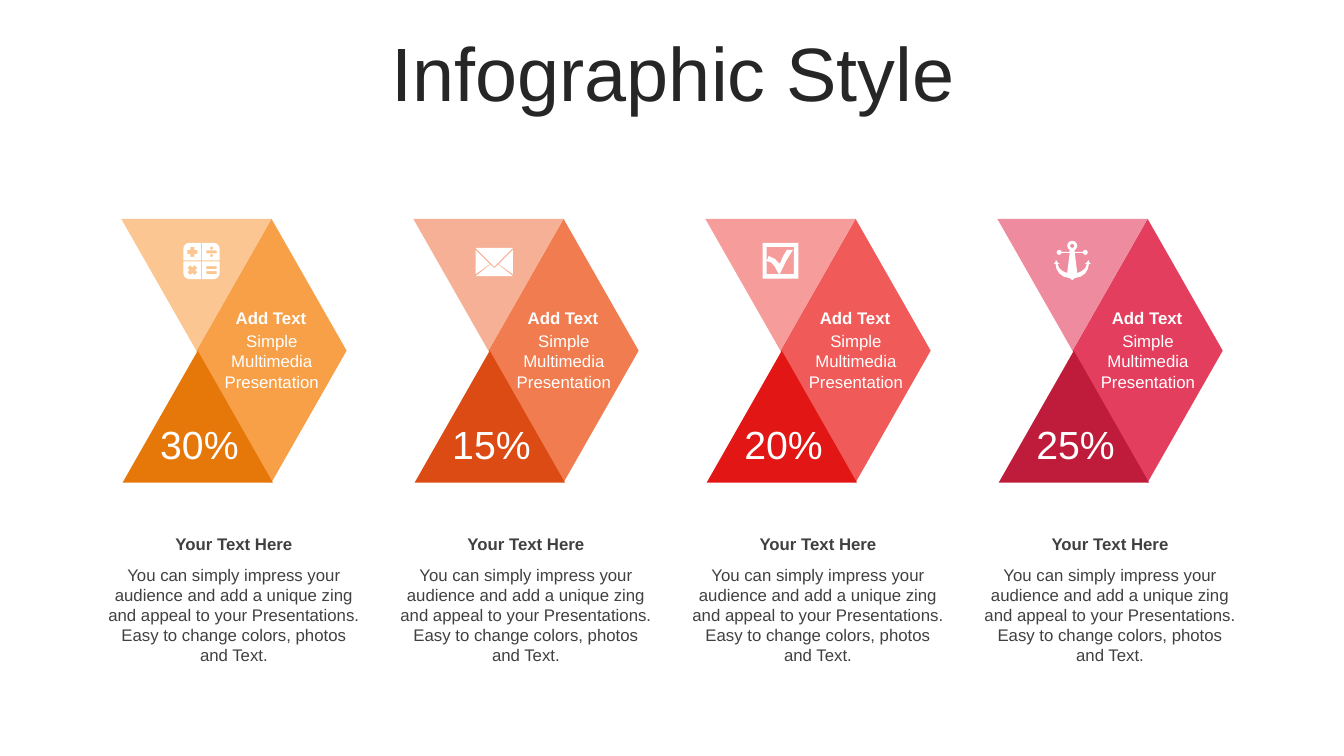
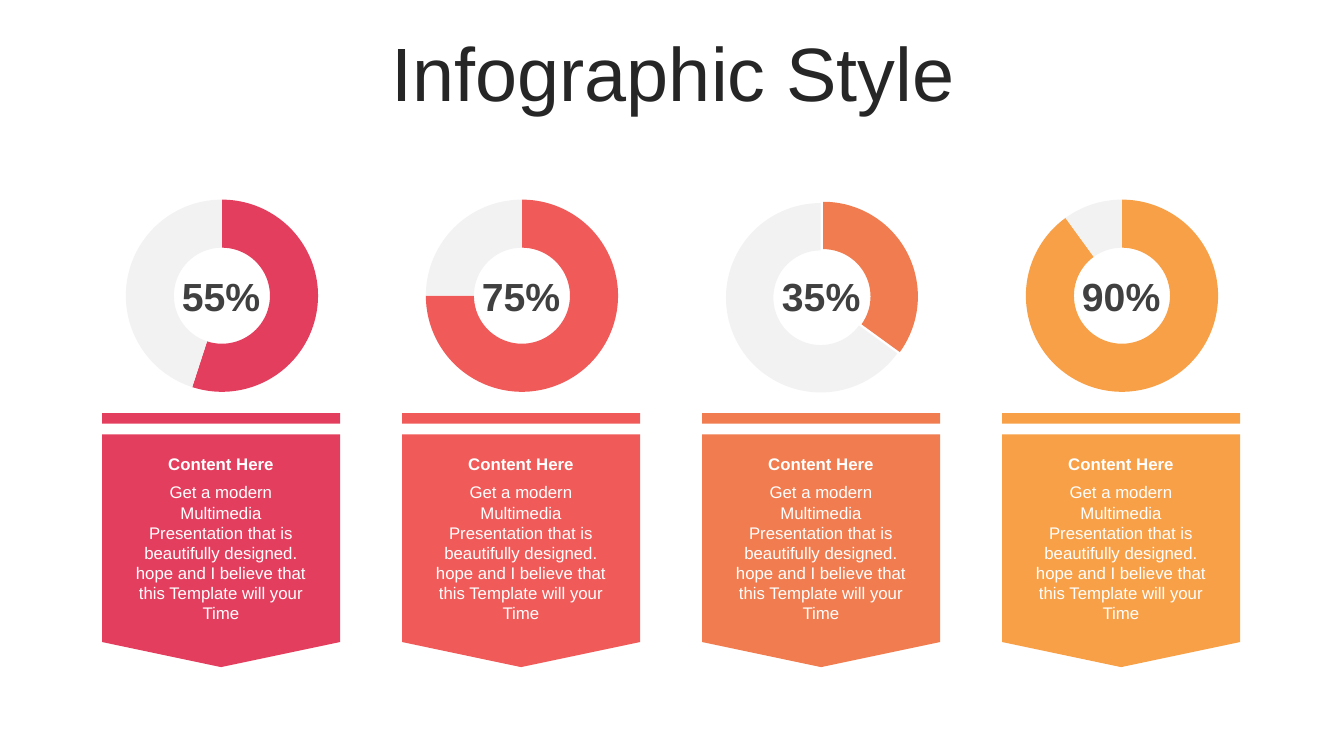
"""Build two infographic slides: arrow cards with icons, and doughnut charts with banners."""
import math
from dataclasses import dataclass

from lxml import etree
from pptx import Presentation
from pptx.chart.data import CategoryChartData
from pptx.dml.color import RGBColor
from pptx.enum.chart import XL_CHART_TYPE
from pptx.enum.shapes import MSO_SHAPE
from pptx.enum.text import MSO_ANCHOR, MSO_AUTO_SIZE, PP_ALIGN
from pptx.oxml.ns import qn
from pptx.shapes.autoshape import Shape
from pptx.slide import Slide
from pptx.text.text import TextFrame
from pptx.util import Pt

DIAMOND = MSO_SHAPE.DIAMOND
TRIANGLE = MSO_SHAPE.ISOSCELES_TRIANGLE
RECTANGLE = MSO_SHAPE.RECTANGLE
DOUGHNUT = XL_CHART_TYPE.DOUGHNUT
TOP, MIDDLE = MSO_ANCHOR.TOP, MSO_ANCHOR.MIDDLE
CENTER = PP_ALIGN.CENTER
NO_AUTO_SIZE = MSO_AUTO_SIZE.NONE

FONT = "Arial"
WHITE, GRAY, DARK, TRACK, BLACK = "FFFFFF", "404040", "262626", "F2F2F2", "000000"
ORANGE, CORAL, RED, CRIMSON = "F8A047", "F07C4F", "F05A59", "E43E5F"
ICON_UNIT = 0.72
CARD_PITCH, BANNER_PITCH = 208.6, 214.3

TITLE = "Infographic Style"
CARD_TEXT = "Simple Multimedia Presentation"
DESCRIPTION = (
    "You can simply impress your audience and add a unique zing and appeal to your "
    "Presentations. Easy to change colors, photos and Text."
)
BANNER_TEXT = (
    "Get a modern Multimedia Presentation that is beautifully designed. hope and I "
    "believe that this Template will your Time"
)

Contour = list[tuple[float, float]]


@dataclass(frozen=True)
class Box:
    """A rectangle in points."""
    left: float
    top: float
    width: float
    height: float

    def lengths(self) -> tuple[Pt, Pt, Pt, Pt]:
        """Return the four lengths for python-pptx."""
        return Pt(self.left), Pt(self.top), Pt(self.width), Pt(self.height)


@dataclass(frozen=True)
class TextStyle:
    """The look of a paragraph."""
    size: float
    color: str
    bold: bool = False


@dataclass(frozen=True)
class Icon:
    """Contours in icon units, placed relative to the first card."""
    left: float
    top: float
    contours: list[Contour]


@dataclass(frozen=True)
class Card:
    """One arrow card."""
    percent: str
    light: str
    main: str
    dark: str
    icon: Icon


@dataclass(frozen=True)
class Banner:
    """One chart with the banner below it."""
    percent: int
    color: str
    explosion: int = 0
    plot_top: float = 0.08


TITLE_STYLE = TextStyle(54, DARK)
CARD_HEADING, CARD_BODY = TextStyle(12, WHITE, True), TextStyle(12, WHITE)
NOTE_HEADING, NOTE_BODY = TextStyle(12, GRAY, True), TextStyle(12, GRAY)
CARD_PERCENT, CHART_PERCENT = TextStyle(28, WHITE), TextStyle(28, GRAY, True)


def rgb(color: str) -> RGBColor:
    """Turn a hex string into a colour."""
    return RGBColor.from_string(color)


def rectangle(left: float, top: float, right: float, bottom: float) -> Contour:
    """Return the corners of a rectangle."""
    return [(left, top), (right, top), (right, bottom), (left, bottom)]


def circle(x: float, y: float, radius: float) -> Contour:
    """Return a circle as a fine polygon."""
    angles = [math.tau * step / 24 for step in range(24)]
    return [(x + radius * math.cos(angle), y + radius * math.sin(angle)) for angle in angles]


def cross(x: float, y: float, degrees: float) -> Contour:
    """Return a plus sign turned by an angle."""
    arm, half = 5, 2
    quarter = [(half, -arm), (half, -half), (arm, -half)]
    points = []
    for turn in range(4):
        angle = math.radians(degrees + 90 * turn)
        cosine, sine = math.cos(angle), math.sin(angle)
        points += [(x + a * cosine - b * sine, y + a * sine + b * cosine) for a, b in quarter]
    return points


def mirror(contour: Contour, width: float) -> Contour:
    """Flip a contour from left to right."""
    return [(width - x, y) for x, y in contour]


def calculator_contours() -> list[Contour]:
    """Return four rounded tiles with the arithmetic signs cut out."""
    tile = [(17.5, 0), (17.5, 17.5), (0, 17.5), (0, 6), (0.5, 3.6), (1.8, 1.8), (3.6, 0.5), (6, 0)]
    lower_tile = [(x, 36 - y) for x, y in tile]
    tiles = [tile, mirror(tile, 36), lower_tile, mirror(lower_tile, 36)]
    bars = [rectangle(23, top, 33, top + 3) for top in (7.5, 23, 28)]
    dots = [circle(28, y, 1.5) for y in (5.2, 12.6)]
    return tiles + bars + dots + [cross(9, 9, 0), cross(9, 27, 45)]


def envelope_contours() -> list[Contour]:
    """Return the flap, sides and bottom of an envelope."""
    side = [(0, 2), (14, 16), (0, 26)]
    bottom = [(22.5, 16.5), (37, 28), (0, 28), (14.5, 16.5), (18.5, 20)]
    return [bottom, side, mirror(side, 37), [(0, 0), (37, 0), (18.5, 18.5)]]


def check_contours() -> list[Contour]:
    """Return a frame with a check mark."""
    opening = [
        (4, 4), (4, 31), (16, 31), (11.9, 23.4), (8.5, 19.5), (4, 18), (6, 13), (12.6, 16.3),
        (17, 21), (20.1, 13.6), (24, 7), (30, 7), (23.1, 18.3), (17, 31), (31, 31), (31, 4),
    ]
    return [rectangle(0, 0, 35.5, 35.5), opening]


def anchor_contours() -> list[Contour]:
    """Return a symmetric anchor with a ring hole."""
    half = [
        (18.5, 0), (21, 0.7), (22.8, 2.5), (23.5, 5), (22.8, 7.3), (21, 9.2), (21, 11), (29, 11),
        (29.8, 9.7), (31.5, 9), (33.2, 9.7), (34, 11.5), (33.2, 13.3), (31.5, 14), (29.8, 13.3),
        (29, 12), (21, 12), (23.5, 32), (28, 30), (31.5, 27), (33, 23), (31, 23), (33, 21.5),
        (34.5, 19), (35.5, 21.5), (37, 23), (35, 23), (34, 28), (31.4, 32.3), (27, 35.5),
        (21, 37), (18.5, 39),
    ]
    return [half + mirror(half[-2:0:-1], 37), circle(18.5, 5, 2)]


CARDS = [
    Card("30%", "FBC691", ORANGE, "E67809", Icon(131, 173.5, calculator_contours())),
    Card("15%", "F6B095", CORAL, "DC4B13", Icon(131.2, 177.1, envelope_contours())),
    Card("20%", "F69C9B", RED, "E21614", Icon(127.6, 173.5, check_contours())),
    Card("25%", "EF8B9F", CRIMSON, "BF1B3B", Icon(126.8, 172, anchor_contours())),
]
BANNERS = [
    Banner(55, CRIMSON),
    Banner(75, RED),
    Banner(35, CORAL, explosion=3, plot_top=0.086),
    Banner(90, ORANGE),
]


def paint(shape: Shape, color: str) -> None:
    """Give a shape a plain fill without line or shadow."""
    shape.shadow.inherit = False
    shape.fill.solid()
    shape.fill.fore_color.rgb = rgb(color)
    shape.line.fill.background()


def write(frame: TextFrame, text: str, style: TextStyle, anchor: MSO_ANCHOR) -> None:
    """Put one centred paragraph into a text frame."""
    frame.text = text
    frame.word_wrap = True
    frame.auto_size = NO_AUTO_SIZE
    frame.vertical_anchor = anchor
    para = frame.paragraphs[0]
    para.alignment = CENTER
    para.font.name = FONT
    para.font.size = Pt(style.size)
    para.font.bold = style.bold
    para.font.color.rgb = rgb(style.color)


def add_text(slide: Slide, box: Box, text: str, style: TextStyle, anchor: MSO_ANCHOR = TOP) -> None:
    """Add a text box."""
    write(slide.shapes.add_textbox(*box.lengths()).text_frame, text, style, anchor)


def add_shape(slide: Slide, kind: MSO_SHAPE, box: Box, color: str, rotation: float = 0) -> None:
    """Add a plain preset shape."""
    shape = slide.shapes.add_shape(kind, *box.lengths())
    shape.rotation = rotation
    paint(shape, color)


def add_outline(slide: Slide, contours: list[Contour], color: str) -> None:
    """Add one freeform made of closed contours in points."""
    builder = None
    for contour in contours:
        start, *rest = [(Pt(x), Pt(y)) for x, y in contour]
        if builder is None:
            builder = slide.shapes.build_freeform(*start)
        else:
            builder.move_to(*start)
        builder.add_line_segments(rest, close=True)
    paint(builder.convert_to_shape(), color)


def add_titled_slide(deck: Presentation) -> Slide:
    """Add a slide with the shared title."""
    slide = deck.slides.add_slide(deck.slide_layouts[5])
    title = slide.shapes.title
    title.left, title.top, title.width, title.height = Box(25.2, 26.6, 911.5, 56.9).lengths()
    write(title.text_frame, TITLE, TITLE_STYLE, MIDDLE)
    title.text_frame.paragraphs[0].line_spacing = 0.9
    return slide


def add_card(slide: Slide, card: Card, shift: float) -> None:
    """Draw an arrow card, its icon and its description."""
    add_shape(slide, DIAMOND, Box(140.3 + shift, 156.3, 107.3, 188.4), card.main)
    add_shape(slide, TRIANGLE, Box(86.6 + shift, 156.3, 107.3, 94.2), card.light, 180)
    add_shape(slide, TRIANGLE, Box(87.6 + shift, 250.5, 107.3, 94.2), card.dark)
    icon = card.icon
    add_outline(slide, [
        [(icon.left + shift + x * ICON_UNIT, icon.top + y * ICON_UNIT) for x, y in contour]
        for contour in icon.contours
    ], WHITE)
    add_text(slide, Box(143.2 + shift, 216, 100.8, 21.6), "Add Text", CARD_HEADING)
    add_text(slide, Box(143.8 + shift, 232.8, 100.8, 51), CARD_TEXT, CARD_BODY)
    add_text(slide, Box(105.4 + shift, 296.6, 74, 41), card.percent, CARD_PERCENT, MIDDLE)
    add_text(slide, Box(69.2 + shift, 378, 195.8, 21.6), "Your Text Here", NOTE_HEADING)
    add_text(slide, Box(69.2 + shift, 399.6, 195.8, 80), DESCRIPTION, NOTE_BODY)


def add_doughnut(slide: Slide, banner: Banner, box: Box) -> None:
    """Add a two-part doughnut chart with a fixed plot area."""
    data = CategoryChartData()
    data.categories = ["1", "2"]
    data.add_series("Series 1", (banner.percent, 100 - banner.percent))
    chart = slide.shapes.add_chart(DOUGHNUT, *box.lengths(), data).chart
    chart.has_title = chart.has_legend = False
    chart.font.name, chart.font.size = FONT, Pt(18)
    chart.font.color.rgb = rgb(BLACK)
    plot = chart.plots[0]
    plot.vary_by_categories = True
    for index, color in enumerate((banner.color, TRACK)):
        look = plot.series[0].points[index].format
        look.fill.solid()
        look.fill.fore_color.rgb = rgb(color)
        look.line.fill.background()

    area = chart.element.find(".//" + qn("c:plotArea"))
    for old_layout in area.findall(qn("c:layout")):
        area.remove(old_layout)
    layout = etree.Element(qn("c:layout"))
    area.insert(0, layout)
    manual = etree.SubElement(layout, qn("c:manualLayout"))
    settings = {"layoutTarget": "inner", "xMode": "edge", "yMode": "edge",
                "x": 0.054, "y": banner.plot_top, "w": 0.898, "h": 0.844}
    for tag, value in settings.items():
        etree.SubElement(manual, qn("c:" + tag)).set("val", str(value))
    area.find(".//" + qn("c:holeSize")).set("val", "60")
    if banner.explosion:
        explosion = etree.Element(qn("c:explosion"))
        explosion.set("val", str(banner.explosion))
        area.find(".//" + qn("c:ser")).find(qn("c:tx")).addnext(explosion)


def add_banner(slide: Slide, banner: Banner, shift: float) -> None:
    """Draw a chart and the pointed banner below it."""
    left, right = 72.9 + shift, 242.9 + shift
    add_doughnut(slide, banner, Box(81.4 + shift, 129.6, 153.4, 162.7))
    add_shape(slide, RECTANGLE, Box(left, 295.1, right - left, 7.6), banner.color)
    pennant = [(left, 310.3), (right, 310.3), (right, 458.6),
               ((left + right) / 2, 476.5), (left, 458.6)]
    add_outline(slide, [pennant], banner.color)
    add_text(slide, Box(121.2 + shift, 190.8, 73.4, 41), f"{banner.percent}%", CHART_PERCENT, MIDDLE)
    add_text(slide, Box(87.6 + shift, 320.6, 140.4, 21.6), "Content Here", CARD_HEADING, MIDDLE)
    add_text(slide, Box(87.6 + shift, 340.8, 140.4, 108.7), BANNER_TEXT, CARD_BODY)


def main() -> None:
    """Build and save the deck."""
    deck = Presentation()
    deck.slide_width, deck.slide_height = Pt(960), Pt(540)
    card_slide = add_titled_slide(deck)
    for index, card in enumerate(CARDS):
        add_card(card_slide, card, index * CARD_PITCH)
    banner_slide = add_titled_slide(deck)
    for index, banner in enumerate(BANNERS):
        add_banner(banner_slide, banner, index * BANNER_PITCH)
    deck.save("out.pptx")


if __name__ == "__main__":
    main()
